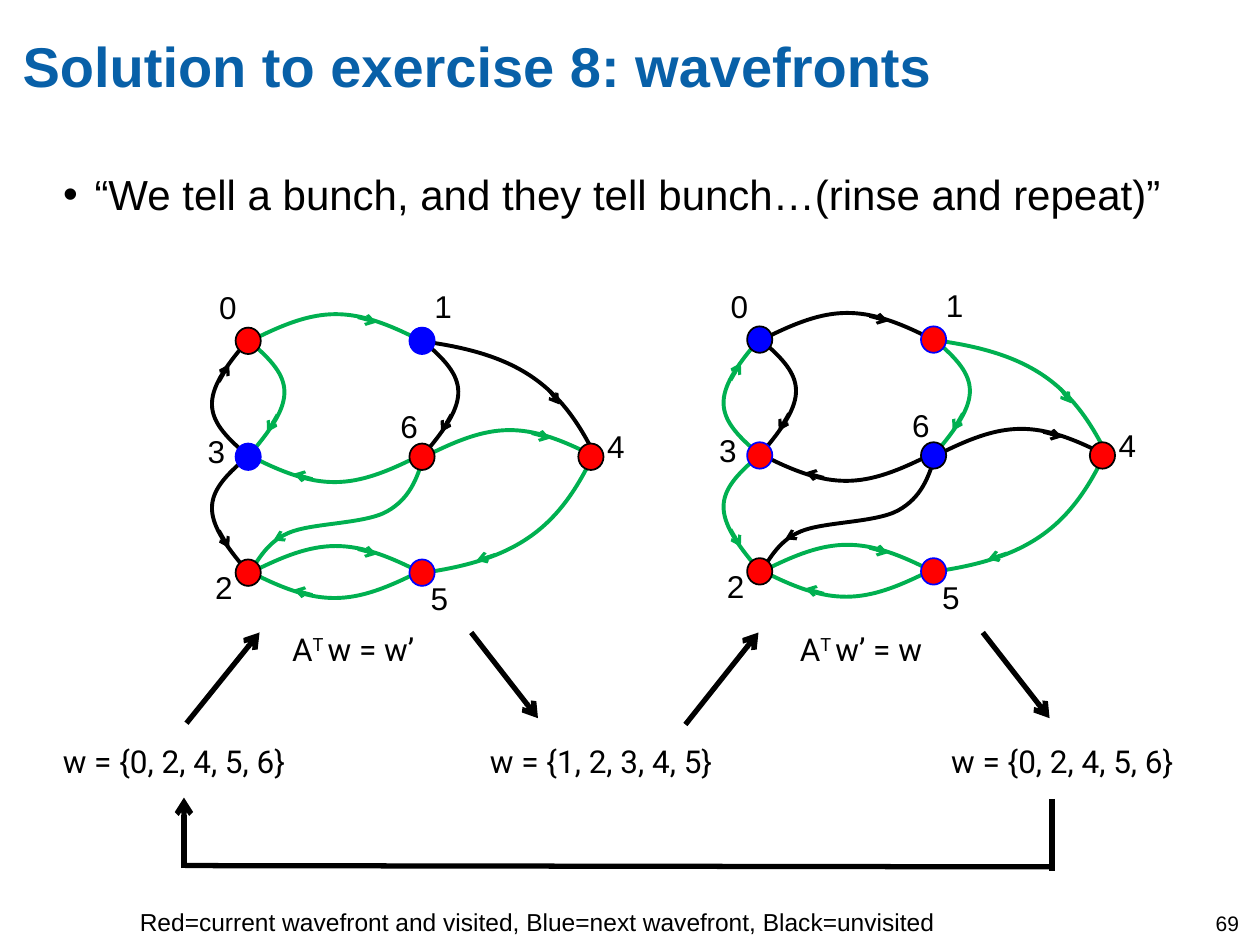
from lxml import etree
from pptx import Presentation
from pptx import util as u
from pptx.dml.color import RGBColor
from pptx.enum import shapes, text
from pptx.oxml.ns import qn

BLACK, RED, BLUE, GREEN, TITLE = "000000", "FF0000", "0000FF", "00B050", "0860A8"
color = RGBColor.from_string

deck = Presentation()
deck.slide_width, deck.slide_height = u.Inches(10), u.Inches(7.5)
page = deck.slides.add_slide(deck.slide_layouts[6])
CELL = deck.slide_width // 1000  # the slide is a grid of 1000 columns by 750 rows


def add_text(parent, pieces, place, size, font="Arial", ink=BLACK, inset=(10, 5), bullet=False):
    """Write the pieces into a text box, every second one raised; return the box."""
    box = parent.add_textbox(*[n * CELL for n in place])
    frame = box.text_frame
    frame.word_wrap = True
    frame.margin_left = frame.margin_right = inset[0] * CELL
    frame.margin_top = frame.margin_bottom = inset[1] * CELL
    para = frame.paragraphs[0]
    for index, piece in enumerate(pieces):
        span = para.add_run()
        span.text = piece
        if index % 2:
            span.font._element.set("baseline", "30000")
    if bullet:
        layout = para._p.get_or_add_pPr()
        layout.set("marL", str(25 * CELL))
        layout.set("indent", str(-25 * CELL))
        etree.SubElement(layout, qn("a:buFont"), typeface="Arial")
        etree.SubElement(layout, qn("a:buChar"), char="•")
    para.font.size, para.font.name = u.Pt(size), font
    para.font.color.rgb = color(ink)
    return box


def add_line(parent, start, end, ink, width, arrow=True):
    """Draw a straight line, with an arrowhead at its end if wanted."""
    line = parent.add_connector(shapes.MSO_CONNECTOR.STRAIGHT, *[n * CELL for n in start + end])
    line.line.color.rgb, line.line.width = color(ink), u.Pt(width)
    properties = line._element.spPr
    if arrow:
        etree.SubElement(properties.find(qn("a:ln")), qn("a:tailEnd"), type="arrow")
    etree.SubElement(properties, qn("a:effectLst"))


# Title and bullet
title = add_text(page.shapes, ["Solution to exercise 8: wavefronts"],
                 (18, 21, 901, 97), 32, ink=TITLE, inset=(0, 4))
title.text_frame.paragraphs[0].font.bold = True
add_text(page.shapes, ["“We tell a bunch, and they tell bunch…(rinse and repeat)”"],
         (50, 131, 901, 72), 24, inset=(0, 3), bullet=True)

# Curves from a node: Bezier points, then start and end of the arrowhead
ARC = [(55, -28), (80, -30), (139, 1)], (86, -19), (101, -15)
BOW = [(36, 30), (38, 46), (0, 90)], (22, 58), (14, 72)
FALL = [(75, 10), (109, 34), (137, 92)], (99, 38), (108, 50)
SWEEP = [(-28, 58), (-62, 82), (-137, 92)], (-77, 77), (-92, 82)
SWING = [(-5, 17), (-11, 33), (-29, 43), (-47, 53), (-89, 52), (-107, 60),
         (-126, 68), (-133, 86), (-138, 91)], (-105, 59), (-119, 66)

# Edges: source node, curve, horizontal and vertical flip
edges = [
    (3, BOW, -1, -1), (0, BOW, 1, 1), (0, ARC, 1, 1), (6, SWING, 1, 1),
    (6, ARC, 1, 1), (2, ARC, 1, 1), (5, ARC, -1, -1), (6, ARC, -1, -1),
    (3, BOW, -1, 1), (1, BOW, 1, 1), (4, SWEEP, 1, 1), (1, FALL, 1, 1),
]

# Nodes: column, row, offset of the label
columns, rows = (197, 335, 469), (270, 362, 454)
nodes = {
    0: (0, 0, -33, -46), 1: (1, 0, 0, -47), 2: (0, 2, -36, -8), 3: (0, 1, -42, -24),
    4: (2, 1, 3, -28), 5: (1, 2, -3, 1), 6: (1, 1, -27, -44),
}
STEP = 406  # distance between the two graphs

# Two graphs: edges leaving the wavefront are green, its nodes are red
for right, down, wavefront in [(0, 0, {0, 2, 4, 5, 6}), (STEP, -1, {1, 2, 3, 4, 5})]:
    graph = page.shapes.add_group_shape().shapes
    centers = {name: (columns[column] + right, rows[row] + down)
               for name, (column, row, *_) in nodes.items()}
    for source, (curve, tip_start, tip_end), flip_x, flip_y in edges:
        ink = GREEN if source in wavefront else BLACK
        left, top = centers[source][0] + flip_x, centers[source][1] + flip_y
        start, tip_start, tip_end, *points = [
            (left + flip_x * x, top + flip_y * y)
            for x, y in [(0, 0), tip_start, tip_end, *curve]]
        add_line(graph, tip_start, tip_end, ink, 1.75)
        builder = graph.build_freeform(*start, scale=1 / CELL)
        builder = graph.build_freeform(start[0] * CELL, start[1] * CELL)
        builder.add_line_segments([(x * CELL, y * CELL) for x, y in points], close=False)
        edge = builder.convert_to_shape()
        # Each three straight segments become one Bezier segment
        segments = edge._element.xpath(".//a:lnTo")
        for first in range(0, len(segments), 3):
            bezier = etree.Element(qn("a:cubicBezTo"))
            segments[first].addprevious(bezier)
            for segment in segments[first:first + 3]:
                bezier.append(segment[0])
                segment.getparent().remove(segment)
        edge.fill.background()
        edge.line.color.rgb, edge.line.width = color(ink), u.Pt(2.25)
        edge.shadow.inherit = False

    for name, (x, y) in centers.items():
        circle = graph.add_shape(shapes.MSO_SHAPE.OVAL, (x - 10) * CELL, (y - 10) * CELL,
                                 20 * CELL, 21 * CELL)
        circle.fill.solid()
        circle.fill.fore_color.rgb = color(RED if name in wavefront else BLUE)
        circle.line.color.rgb = color(BLUE if name in (1, 3, 5) else BLACK)
        circle.line.width = u.Pt(1)
        circle.shadow.inherit = False
        label_x, label_y = nodes[name][2:]
        label = add_text(graph, [str(name)], (x + label_x, y + label_y, 34, 40), 18)
        label.text_frame.word_wrap = False
        label.text_frame.auto_size = text.MSO_AUTO_SIZE.SHAPE_TO_FIT_TEXT

    # Arrows into and out of the graph
    add_line(page.shapes, (right + 148, 574), (right + 206, 502), BLACK, 3) if not right else \
        add_line(page.shapes, (544, 575), (602, 502), BLACK, 3)
    add_line(page.shapes, (right + 374, 502), (right + 427, 570), BLACK, 3)

# Wavefront sets and the products that lead from one to the next
for left, members in [(40, "0, 2, 4, 5, 6"), (379, "1, 2, 3, 4, 5"), (745, "0, 2, 4, 5, 6")]:
    add_text(page.shapes, [f"w = {{{members}}}"], (left, 584, 229, 40), 18, "Roboto")
for left, product in [(222, "w = w’"), (625, "w’ = w")]:
    add_text(page.shapes, ["A", "T ", product], (left, 495, 144, 40), 18, "Roboto")

# Loop back to the first set
add_line(page.shapes, (835, 634), (835, 691), BLACK, 3, arrow=False)
add_line(page.shapes, (835, 688), (147, 687), BLACK, 3, arrow=False)
add_line(page.shapes, (146, 689), (146, 633), BLACK, 3)

# Colour key and page number
add_text(page.shapes, ["Red=current wavefront and visited, Blue=next wavefront, Black=unvisited"],
         (111, 720, 786, 25), 14, inset=(0, 0))
number = add_text(page.shapes, ["69"], (955, 716, 45, 33), 12)
number.text_frame.vertical_anchor = text.MSO_ANCHOR.MIDDLE

deck.save("out.pptx")
